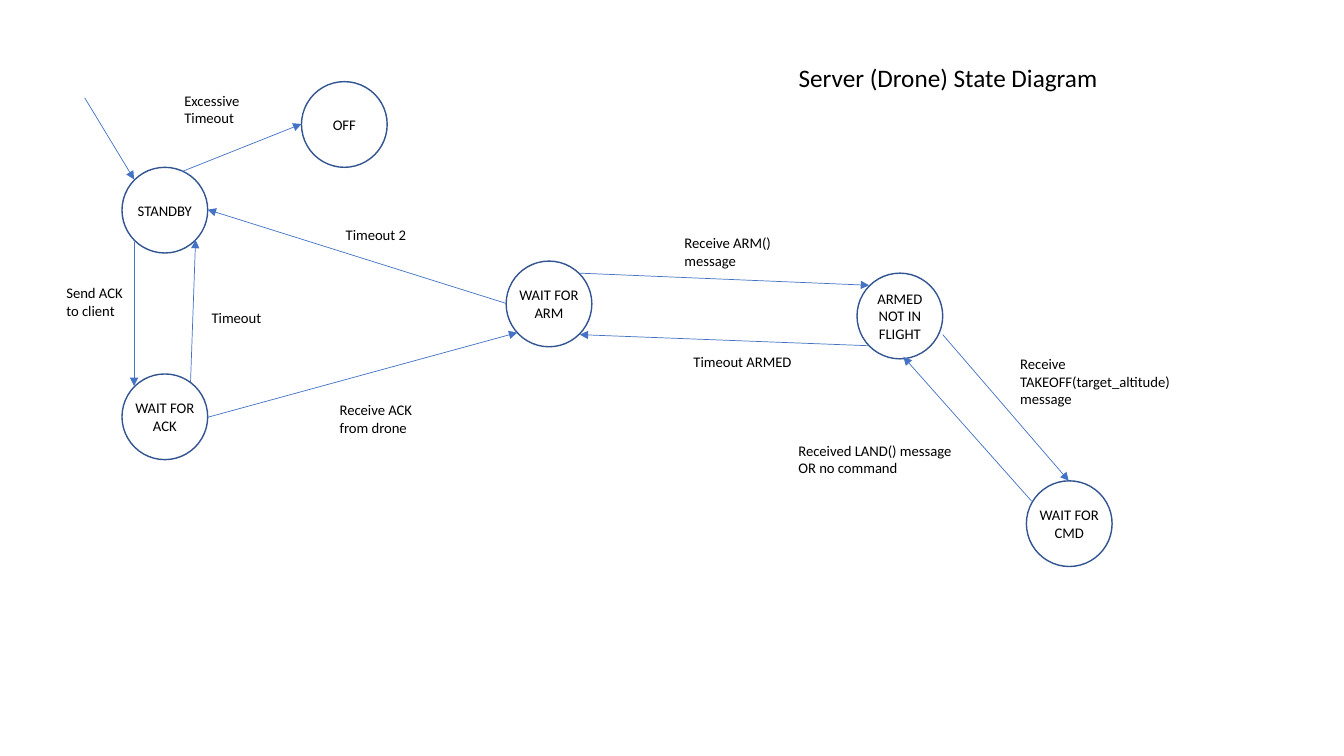
from pptx import Presentation
from pptx.dml.color import RGBColor
from pptx.enum.shapes import MSO_CONNECTOR as Connector, MSO_SHAPE as Shape
from pptx.enum.text import MSO_ANCHOR as Anchor, MSO_AUTO_SIZE as AutoSize, PP_ALIGN as Align
from pptx.oxml.ns import qn
from pptx.util import Inches, Pt
from lxml.etree import SubElement


def color(value):
    return RGBColor.from_string(value)


def write(frame, text, size=10.5, font="Calibri", ink="000000",
          align=Align.LEFT, anchor=Anchor.TOP, fit=AutoSize.NONE, inset=None):
    frame.word_wrap = True
    frame.auto_size = fit
    frame.vertical_anchor = anchor
    if inset is not None:
        frame.margin_left = frame.margin_right = Inches(inset)
        frame.margin_top = frame.margin_bottom = Inches(inset)
    paragraph = frame.paragraphs[0]
    paragraph.alignment = align
    run = paragraph.add_run()
    run.text = text
    run.font.size = Pt(size)
    run.font.name = font
    run.font.color.rgb = color(ink)


class StateDiagram:
    diameter = 0.85
    state_fill, state_line = "FFFFFF", "325491"
    arrow_line = "4472C4"

    def __init__(self, slide):
        self.slide = slide

    def title(self, text, left, top, width, height):
        shape = self.slide.shapes.title
        shape.left, shape.top = Inches(left), Inches(top)
        shape.width, shape.height = Inches(width), Inches(height)
        write(shape.text_frame, text, size=18)

    def state(self, text, left, top):
        side = Inches(self.diameter)
        shape = self.slide.shapes.add_shape(Shape.OVAL, Inches(left), Inches(top), side, side)
        shape.shadow.inherit = False
        shape.fill.solid()
        shape.fill.fore_color.rgb = color(self.state_fill)
        shape.line.color.rgb = color(self.state_line)
        shape.line.width = Pt(1)
        write(shape.text_frame, text, align=Align.CENTER, anchor=Anchor.MIDDLE, inset=0)

    def arrow(self, start, end):
        connector = self.slide.shapes.add_connector(
            Connector.STRAIGHT, *(Inches(value) for value in start + end))
        connector.line.color.rgb = color(self.arrow_line)
        connector.line.width = Pt(0.5)
        SubElement(connector.line._get_or_add_ln(), qn("a:tailEnd"), type="triangle")
        SubElement(connector._element.spPr, qn("a:effectLst"))

    def label(self, text, left, top, width, height):
        box = self.slide.shapes.add_textbox(
            Inches(left), Inches(top), Inches(width), Inches(height))
        write(box.text_frame, text, fit=AutoSize.SHAPE_TO_FIT_TEXT)


presentation = Presentation()
presentation.slide_width, presentation.slide_height = Inches(13.33), Inches(7.5)
title_only = presentation.slide_layouts[5]
diagram = StateDiagram(presentation.slides.add_slide(title_only))

diagram.title("Server (Drone) State Diagram", 7.82, 0.57, 3.21, 0.4)

# States: text, left, top
for state in [
    ("STANDBY", 1.21, 1.66),
    ("WAIT FOR ACK", 1.21, 3.71),
    ("OFF", 2.99, 0.81),
    ("WAIT FOR ARM", 5.02, 2.59),
    ("ARMED NOT IN FLIGHT", 8.5, 2.71),
    ("WAIT FOR CMD", 10.18, 4.77),
]:
    diagram.state(*state)

# Transitions: start point, end point
for start, end in [
    ((0.84, 0.97), (1.33, 1.78)),   # entry to standby
    ((1.81, 1.7), (2.99, 1.23)),    # standby to off
    ((1.33, 2.4), (1.33, 3.83)),    # standby to wait for ACK
    ((1.89, 3.79), (1.94, 2.38)),   # wait for ACK to standby
    ((5.02, 3.01), (2.06, 2.08)),   # wait for ARM to standby
    ((2.06, 4.14), (5.13, 3.3)),    # wait for ACK to wait for ARM
    ((5.75, 2.71), (8.62, 2.83)),   # wait for ARM to armed
    ((8.62, 3.43), (5.75, 3.32)),   # armed to wait for ARM
    ((9.35, 3.32), (10.6, 4.77)),   # armed to wait for CMD
    ((10.23, 4.97), (8.96, 3.54)),  # wait for CMD to armed
]:
    diagram.arrow(start, end)

# Transition labels: text, left, top, width, height
for label in [
    ("Excessive Timeout", 1.73, 0.86, 0.85, 0.45),
    ("Send ACK to client", 0.56, 2.77, 0.85, 0.45),
    ("Timeout", 2, 3.01, 0.85, 0.29),
    ("Timeout 2", 3.33, 2.19, 0.85, 0.29),
    ("Receive ACK from drone", 3.27, 3.93, 1.11, 0.45),
    ("Receive ARM() message", 6.69, 2.27, 1.21, 0.45),
    ("Timeout ARMED", 6.78, 3.45, 1.27, 0.28),
    ("Receive TAKEOFF(target_altitude) message", 10.02, 3.47, 1.95, 0.63),
    ("Received LAND() message OR no command", 7.82, 4.33, 1.79, 0.45),
]:
    diagram.label(*label)

presentation.save("out.pptx")
